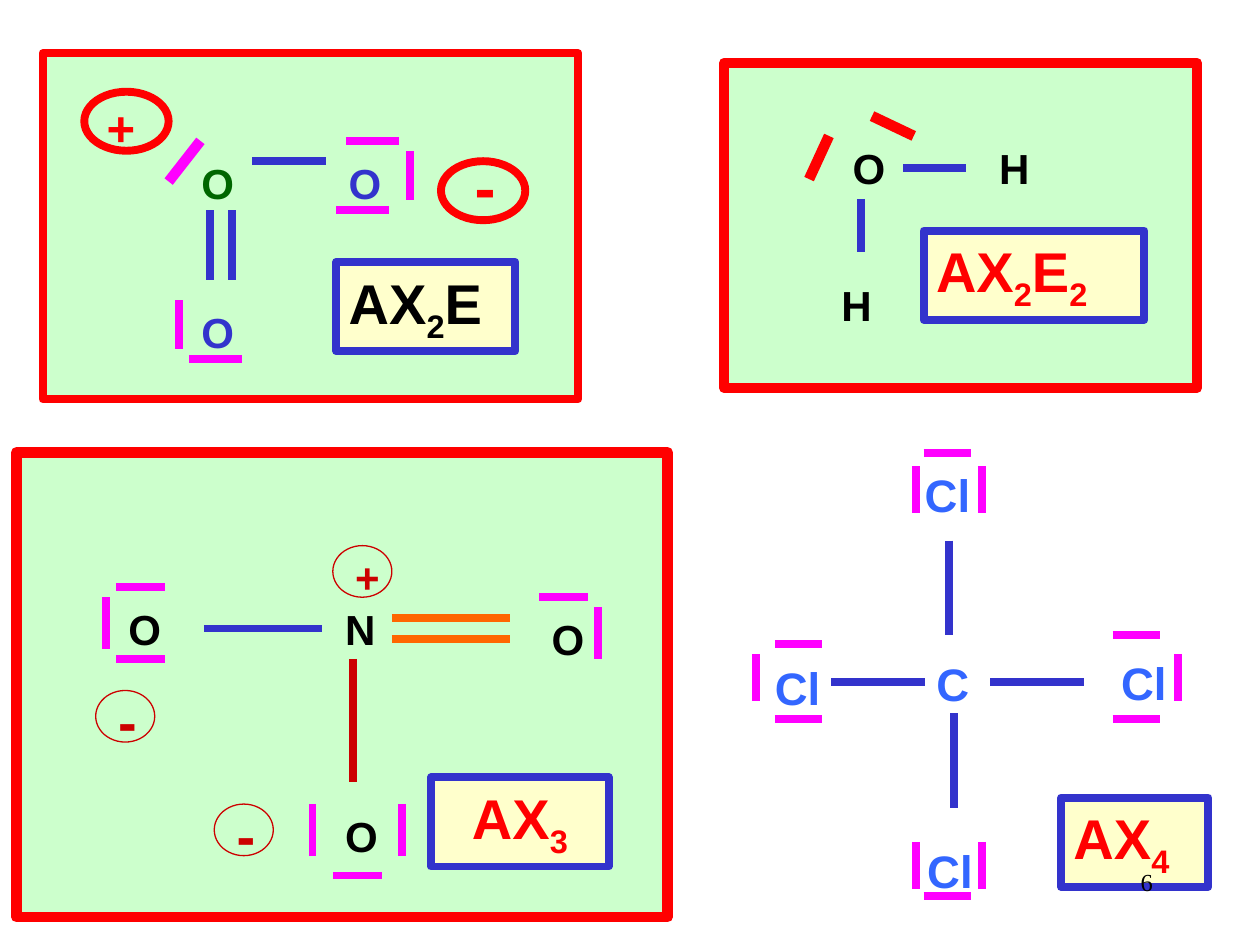
import pptx
import pptx.util
import pptx.dml.color
import pptx.enum.shapes
import pptx.enum.text
import pptx.oxml.ns
import lxml.etree

Cm = pptx.util.Cm
Pt = pptx.util.Pt
SHAPE = pptx.enum.shapes.MSO_SHAPE
ALIGN = pptx.enum.text.PP_ALIGN

BLUE, PINK, RED, DARK_RED = "3333CC", "FF00FF", "FF0000", "CC0000"
ORANGE, LIGHT_BLUE, GREEN, BLACK = "FF6600", "3366FF", "006600", "000000"
MINT, CREAM = "CCFFCC", "FFFFCC"


def rgb(value):
    return pptx.dml.color.RGBColor.from_string(value)


class Drawing:
    font = "Arial"
    weight = 4.5

    def __init__(self, s):
        self.s = s

    def shape(self, kind, x, y, w, h, color, weight, fill=None):
        sp = self.s.shapes.add_shape(kind, Cm(x), Cm(y), Cm(w), Cm(h))
        sp.shadow.inherit = False
        if fill:
            sp.fill.solid()
            sp.fill.fore_color.rgb = rgb(fill)
        else:
            sp.fill.background()
        sp.line.color.rgb = rgb(color)
        sp.line.width = Pt(weight)
        return sp

    def panel(self, x, y, w, h, weight=6):
        self.shape(SHAPE.RECTANGLE, x, y, w, h, RED, weight, MINT)

    def ring(self, x, y, w, h, color, weight):
        self.shape(SHAPE.OVAL, x, y, w, h, color, weight)

    def add_runs(self, sp, parts, size, color, align, bold=True, font=None):
        tf = sp.text_frame
        tf.word_wrap = True
        tf.vertical_anchor = pptx.enum.text.MSO_ANCHOR.TOP
        p = tf.paragraphs[0]
        p.alignment = align
        for part in parts:
            r = p.add_run()
            r.text = part
            r.font.name = font or self.font
            r.font.size = Pt(size)
            r.font.bold = bold
            r.font.color.rgb = rgb(color)
            if len(parts) > 1 and part.isdigit():
                r.font._element.set("baseline", "-25000")

    def text(self, text, x, y, w, h=1.27, size=24, color=BLACK,
             align=ALIGN.LEFT, **style):
        sp = self.s.shapes.add_textbox(Cm(x), Cm(y), Cm(w), Cm(h))
        self.add_runs(sp, [text], size, color, align, **style)

    def formula(self, parts, x, y, w, color=RED, align=ALIGN.LEFT):
        sp = self.shape(SHAPE.RECTANGLE, x, y, w, 1.8, BLUE, self.weight, CREAM)
        self.add_runs(sp, parts, 32, color, align)

    def line(self, x1, y1, x2, y2, color, weight=None):
        ln = self.s.shapes.add_connector(
            pptx.enum.shapes.MSO_CONNECTOR.STRAIGHT, Cm(x1), Cm(y1), Cm(x2), Cm(y2))
        ln.line.color.rgb = rgb(color)
        ln.line.width = Pt(weight or self.weight)
        lxml.etree.SubElement(ln._element.spPr, pptx.oxml.ns.qn("a:effectLst"))

    def across(self, length, color, *starts):
        for x, y in starts:
            self.line(x, y, x + length, y, color)

    def down(self, length, color, *starts):
        for x, y in starts:
            self.line(x, y, x, y + length, color)


def carbon_tetrachloride(d):
    d.text("C", 18.47, 13.11, 1.32, 1.09, 26, LIGHT_BLUE, ALIGN.RIGHT)
    d.across(1.89, BLUE, (16.76, 13.74), (19.96, 13.74))
    d.down(1.9, BLUE, (19.13, 10.9), (19.24, 14.38))
    d.across(0.95, PINK, (15.62, 12.98), (15.62, 14.5), (22.43, 12.8),
             (22.43, 14.5), (18.62, 18.06), (18.62, 9.14))
    d.down(0.95, PINK, (18.47, 16.97), (19.79, 16.97), (18.47, 9.4),
           (19.79, 9.4), (15.24, 13.18), (23.75, 13.18))
    for x, y in ((15.19, 13.18), (18.21, 9.3), (18.26, 16.87), (22.17, 13.08)):
        d.text("Cl", x, y, 1.6, 1.09, 26, LIGHT_BLUE, ALIGN.RIGHT)


def nitrate(d):
    d.panel(0.33, 9.12, 13.13, 9.37)
    d.text("N", 6.71, 12.04, 1.19)
    for x, y in ((10.87, 12.24), (2.34, 12.04), (6.71, 16.21)):
        d.text("O", x, y, 1.4)
    d.across(2.39, ORANGE, (7.9, 12.45), (7.9, 12.88))
    d.across(2.39, BLUE, (4.11, 12.67))
    d.down(2.49, DARK_RED, (7.11, 13.28))
    d.across(0.99, PINK, (10.87, 12.04), (2.34, 11.84), (2.34, 13.28), (6.71, 17.65))
    d.down(1.04, PINK, (12.06, 12.24), (2.13, 12.04), (8.1, 16.21), (6.3, 16.21))
    for sign, x, y, rise, size in (("+", 6.71, 11, 0, 24), ("-", 1.93, 13.92, 0.2, 32),
                                   ("-", 4.32, 16.21, 0.2, 32)):
        d.ring(x, y, 1.19, 1.04, DARK_RED, 0.75)
        d.text(sign, x + 0.2, y - rise, 1.4, 1.63, size, DARK_RED)
    d.formula(["AX", "3"], 8.69, 15.67, 3.58, align=ALIGN.CENTER)


def ozone(d):
    d.panel(0.86, 1.07, 10.8, 6.98, 4.5)
    for x, y, color in ((3.81, 3.05, GREEN), (6.78, 3.05, BLUE), (3.81, 6.05, BLUE)):
        d.text("O", x, y, 1.6, color=color)
    d.across(1.5, BLUE, (5.08, 3.25))
    d.down(1.4, BLUE, (4.24, 4.24), (4.67, 4.24))
    d.across(1.07, PINK, (6.98, 2.84), (3.81, 7.24), (6.78, 4.24))
    d.down(0.99, PINK, (8.26, 3.05), (3.61, 6.05))
    d.line(4.04, 2.84, 3.4, 3.66, PINK, 6)
    for x, y in ((8.89, 3.25), (1.7, 1.85)):
        d.ring(x, y, 1.7, 1.19, RED, 4.5)
    d.text("-", 9.32, 2.84, 1.47, 1.78, 36, RED)
    d.text("+", 1.9, 1.85, 1.47, 1.45, 28, RED)
    d.formula(["AX", "2", "E"], 6.78, 5.28, 3.61, BLACK)


def water(d):
    d.panel(14.6, 1.27, 9.53, 6.55)
    for symbol, x, y in (("O", 16.94, 2.74), ("H", 19.89, 2.74), ("H", 16.71, 5.51)):
        d.text(symbol, x, y, 1.5)
    d.across(1.27, BLUE, (18.21, 3.38))
    d.down(1.07, BLUE, (17.35, 4.01))
    d.line(16.71, 2.74, 16.31, 3.61, RED, 6)
    d.line(18.42, 2.74, 17.58, 2.34, RED, 6)
    d.formula(["AX", "2", "E", "2"], 18.62, 4.65, 4.45)


def main():
    prs = pptx.Presentation()
    prs.slide_width, prs.slide_height = Cm(25.4), Cm(19.05)
    d = Drawing(prs.slides.add_slide(prs.slide_layouts[6]))
    carbon_tetrachloride(d)
    nitrate(d)
    ozone(d)
    d.formula(["AX", "4"], 21.39, 16.08, 2.97)
    water(d)
    d.text("6", 18.21, 17.35, 5.28, size=14, align=ALIGN.RIGHT,
           bold=False, font="Times New Roman")
    prs.save("out.pptx")


if __name__ == "__main__":
    main()
